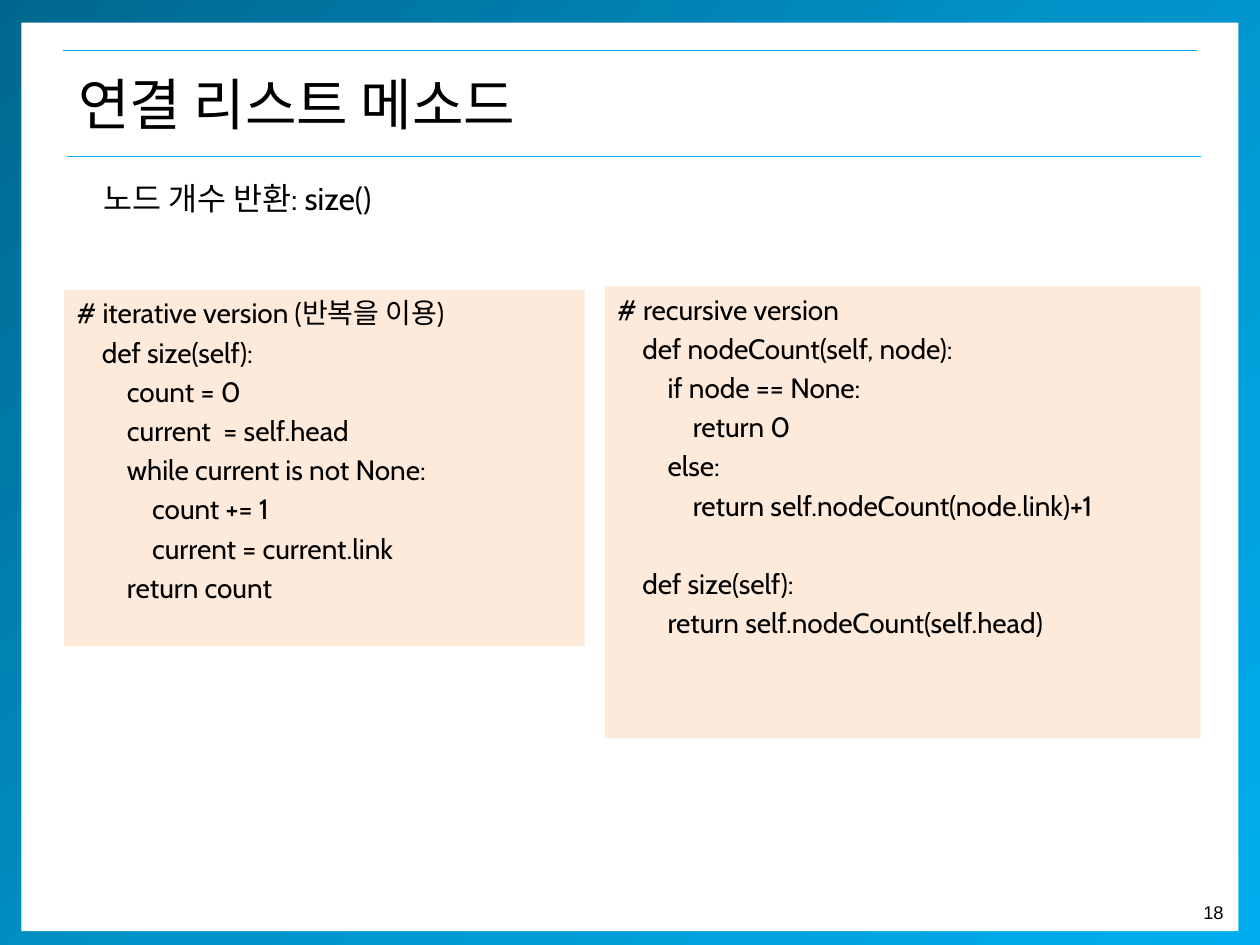
"""Build the slide on the size() method of a linked list."""
from copy import deepcopy
from dataclasses import dataclass
from typing import Any

from lxml.etree import SubElement
from pptx import Presentation
from pptx.dml.color import RGBColor as RGB
from pptx.enum.shapes import MSO_CONNECTOR as Conn, MSO_SHAPE as Kind
from pptx.enum.text import MSO_ANCHOR as Anchor, MSO_AUTO_SIZE as Fit, PP_ALIGN as Align
from pptx.oxml.ns import qn
from pptx.util import Inches, Pt


@dataclass(frozen=True)
class Theme:
    ink: RGB = RGB.from_string("000000")
    paper: RGB = RGB.from_string("FFFFFF")
    panel: RGB = RGB.from_string("FDEADA")
    deep: RGB = RGB.from_string("00678E")
    mid: RGB = RGB.from_string("0093C9")
    sky: RGB = RGB.from_string("00AEEF")
    code: str = "Cabin"
    hangul: str = "Noto Sans CJK KR"
    plain: str = "Arial"
    head: float = 32
    lead: float = 18
    body: float = 16
    page: float = 10.5
    rule: float = 0.75
    gap: float = 3.2
    row: float = 22.4
    step: float = 0.2


@dataclass(frozen=True)
class Box:
    x: float
    y: float
    w: float
    h: float

    def dims(self) -> list[int]:
        """Return the four lengths in slide units."""
        return [Inches(v) for v in (self.x, self.y, self.w, self.h)]


@dataclass(frozen=True)
class Line:
    text: str
    level: int = 0
    skip: int = 0


@dataclass(frozen=True)
class Panel:
    box: Box
    lines: tuple[Line, ...]


THEME = Theme()
RULES = ((0.5, 0.4), (0.53, 1.24))
PANELS = (
    Panel(Box(0.51, 2.3, 4.13, 2.83), (
        Line("# iterative version (반복을 이용)"),
        Line("def size(self):", 1),
        Line("count = 0", 2),
        Line("current  = self.head", 2),
        Line("while current is not None:", 2),
        Line("count += 1", 3),
        Line("current = current.link", 3),
        Line("return count", 2),
    )),
    Panel(Box(4.8, 2.27, 4.73, 3.59), (
        Line("# recursive version"),
        Line("def nodeCount(self, node):", 1),
        Line("if node == None:", 2),
        Line("return 0", 3),
        Line("else:", 2),
        Line("return self.nodeCount(node.link)+1", 3),
        Line("def size(self):", 1, skip=1),
        Line("return self.nodeCount(self.head)", 2),
    )),
)


def style(item: Any, form: dict[str, Any]) -> None:
    """Set each named attribute of an item."""
    for name, value in form.items():
        setattr(item, name, value)


def write(para: Any, text: str, size: float, face: str) -> None:
    """Add one styled run to a paragraph."""
    run = para.add_run()
    run.text = text
    style(run.font, {"size": Pt(size), "name": face})
    run.font.color.rgb = THEME.ink
    SubElement(run.font._element, qn("a:ea"), typeface=THEME.hangul)


def block(slide: Any, box: Box, fill: RGB) -> Any:
    """Draw a plain filled rectangle."""
    shape = slide.shapes.add_shape(Kind.RECTANGLE, *box.dims())
    shape.shadow.inherit = False
    shape.fill.solid()
    shape.fill.fore_color.rgb = fill
    shape.line.fill.background()
    return shape


def frame(slide: Any) -> None:
    """Draw the gradient border and the white sheet on it."""
    edge = block(slide, Box(0, -0.04, 10, 7.59), THEME.sky)
    edge.fill.gradient()
    edge.fill.gradient_angle = 315
    stops = edge._element.spPr.find(".//" + qn("a:gsLst"))
    stops.insert(1, deepcopy(stops[0]))
    tints = (THEME.deep, THEME.mid, THEME.sky)
    for spot, (stop, tint) in enumerate(zip(edge.fill.gradient_stops, tints)):
        stop.color.rgb = tint
        stop.position = spot / 2
    block(slide, Box(0.17, 0.18, 9.66, 7.21), THEME.paper)


def rule(slide: Any, x: float, y: float) -> None:
    """Draw one thin line across the sheet."""
    line = slide.shapes.add_connector(
        Conn.STRAIGHT, Inches(x), Inches(y), Inches(x + 9), Inches(y))
    line.line.color.rgb = THEME.sky
    line.line.width = Pt(THEME.rule)
    SubElement(line._element.spPr, qn("a:effectLst"))


def label(slide: Any, box: Box, text: str, size: float, face: str,
          wrap: bool = True, align: Any = Align.LEFT) -> None:
    """Add a one-line text box."""
    area = slide.shapes.add_textbox(*box.dims()).text_frame
    style(area, {"word_wrap": wrap, "auto_size": Fit.SHAPE_TO_FIT_TEXT})
    area.paragraphs[0].alignment = align
    write(area.paragraphs[0], text, size, face)


def title(slide: Any, box: Box, text: str) -> None:
    """Place the title above the sheet."""
    shape = slide.shapes.title
    style(shape, dict(zip(("left", "top", "width", "height"), box.dims())))
    area = shape.text_frame
    style(area, {"vertical_anchor": Anchor.MIDDLE, "word_wrap": True, "auto_size": Fit.NONE})
    area.paragraphs[0].alignment = Align.LEFT
    write(area.paragraphs[0], text, THEME.head, THEME.hangul)
    slide.shapes._spTree.append(shape._element)


def code(slide: Any, panel: Panel) -> None:
    """Draw a panel of indented code lines."""
    area = block(slide, panel.box, THEME.panel).text_frame
    style(area, {"vertical_anchor": Anchor.TOP, "word_wrap": True})
    for spot, line in enumerate(panel.lines):
        para = area.add_paragraph() if spot else area.paragraphs[0]
        style(para, {"alignment": Align.LEFT,
                     "space_before": Pt(THEME.gap + line.skip * THEME.row)})
        para._p.get_or_add_pPr().set("marL", str(Inches(line.level * THEME.step)))
        write(para, line.text, THEME.body, THEME.code)


def main() -> None:
    """Build and save the slide."""
    deck = Presentation()
    style(deck, {"slide_width": Inches(10), "slide_height": Inches(7.5)})
    slide = deck.slides.add_slide(deck.slide_layouts[5])
    frame(slide)
    label(slide, Box(9.42, 7.1, 0.39, 0.28), "18", THEME.page, THEME.plain,
          wrap=False, align=Align.RIGHT)
    for x, y in RULES:
        rule(slide, x, y)
    title(slide, Box(0.52, 0.4, 9.07, 0.84), "연결 리스트 메소드")
    for panel in PANELS:
        code(slide, panel)
    label(slide, Box(0.72, 1.37, 5, 0.4), "노드 개수 반환: size()", THEME.lead, THEME.code)
    deck.save("out.pptx")


if __name__ == "__main__":
    main()
